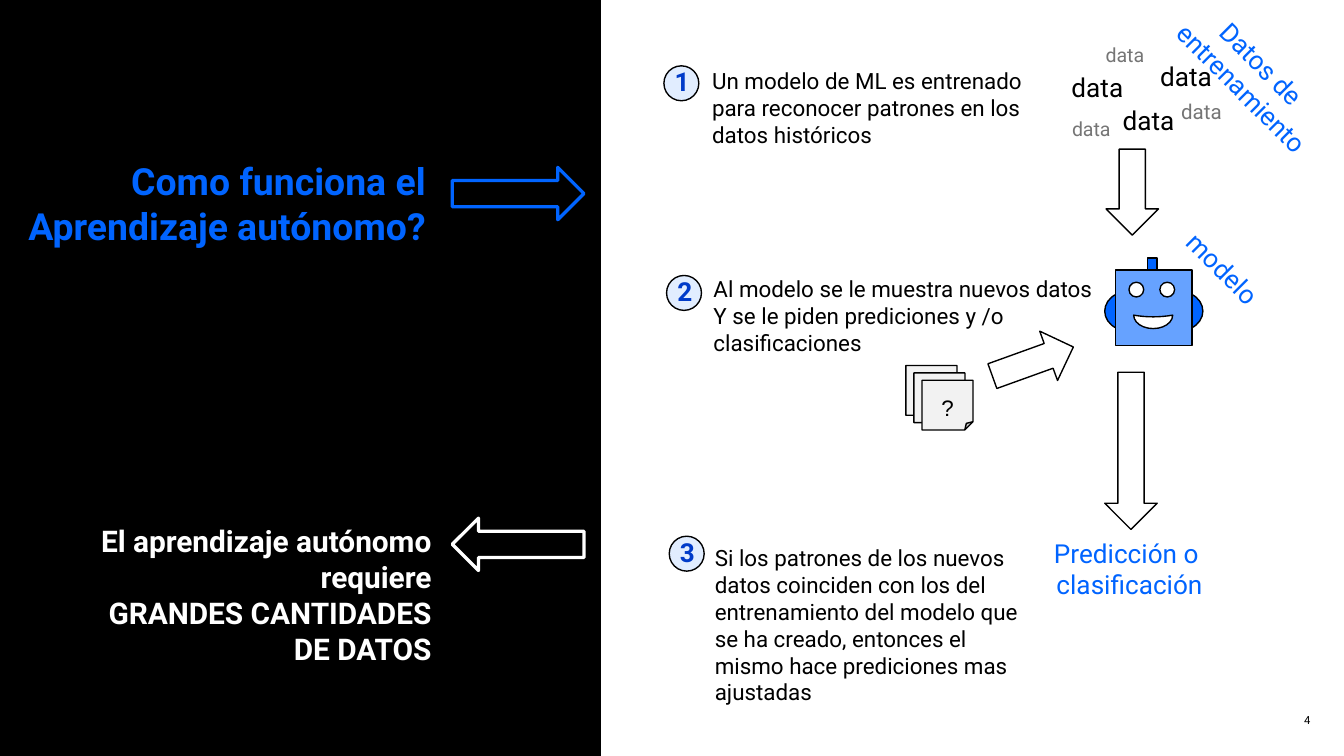
from dataclasses import dataclass
from pptx import Presentation as Deck
from pptx.dml.color import RGBColor as Rgb
from pptx.enum.shapes import MSO_SHAPE as Kind
from pptx.enum.text import MSO_ANCHOR as Anchor, MSO_AUTO_SIZE as Fit, PP_ALIGN as Align
from pptx.util import Inches, Pt

WIDE = 10
HIGH = WIDE * 9 / 16


@dataclass(frozen=True)
class Theme:
    black: str = "000000"
    white: str = "FFFFFF"
    blue: str = "0064FF"
    navy: str = "003BC9"
    sky: str = "66A2FF"
    pale: str = "E1EDFF"
    paper: str = "F2F2F2"
    gray: str = "757575"
    font: str = "Roboto"
    plain: str = "Arial"
    title: float = 20
    claim: float = 16
    label: float = 14
    body: float = 12
    faint: float = 11
    small: float = 10.5
    page: float = 6
    thin: float = 0.75
    thick: float = 1.75


def write(frame, text, size, color, font, bold=False, align=Align.LEFT,
          anchor=Anchor.TOP, inset=(0.1, 0.05, 0.1, 0.05), wrap=True, fit=Fit.NONE):
    frame.word_wrap = wrap
    frame.auto_size = fit
    frame.vertical_anchor = anchor
    (frame.margin_left, frame.margin_top,
     frame.margin_right, frame.margin_bottom) = map(Inches, inset)
    frame.text = text
    for para in frame.paragraphs:
        para.alignment = align
        for run in para.runs:
            run.font.size = Pt(size)
            run.font.name = font
            run.font.bold = bold
            run.font.color.rgb = Rgb.from_string(color)


class Page:
    def __init__(self, slide, style):
        self.slide = slide
        self.style = style

    def title(self, text, box, **look):
        panel = self.slide.shapes.title
        panel.left, panel.top, panel.width, panel.height = map(Inches, box)
        self.paint(panel, self.style.black, self.style.black, self.style.thin)
        write(panel.text_frame, text, font=self.style.font, **look)

    def paint(self, shape, fill, line, width):
        if fill:
            shape.fill.solid()
            shape.fill.fore_color.rgb = Rgb.from_string(fill)
        else:
            shape.fill.background()
        shape.line.color.rgb = Rgb.from_string(line)
        shape.line.width = Pt(width)

    def group(self):
        return self.slide.shapes.add_group_shape().shapes

    def shape(self, kind, box, fill, line=None, width=None, turn=0, adjust=None, home=None):
        home = home or self.slide.shapes
        item = home.add_shape(kind, *map(Inches, box))
        item.shadow.inherit = False
        item.rotation = turn
        if adjust is not None:
            item.adjustments[0] = adjust
        self.paint(item, fill, line or self.style.black, width or self.style.thin)
        return item

    def arrow(self, box, turn=0, fill=Theme.white, **look):
        self.shape(Kind.DOWN_ARROW, box, fill, turn=turn, **look)

    def text(self, text, box, size, color, turn=0, home=None, **look):
        item = (home or self.slide.shapes).add_textbox(*map(Inches, box))
        item.rotation = turn
        look = {"fit": Fit.SHAPE_TO_FIT_TEXT, "font": self.style.font} | look
        write(item.text_frame, text, size, color, **look)

    def label(self, text, box, size, color, **look):
        self.text(text, box, size, color, align=Align.CENTER, wrap=False, **look)

    def step(self, mark, spot, text, box, wrap=False):
        x, y = spot
        style = self.style
        self.text(text, box, style.body, style.black, wrap=wrap)
        badge = self.group()
        self.shape(Kind.OVAL, (x, y, 0.26, 0.26), style.pale, home=badge)
        self.label(mark, (x - 0.02, y - 0.05, 0.31, 0.34), style.label, style.navy,
                   bold=True, home=badge)

    def robot(self):
        style, home = self.style, self.group()
        self.shape(Kind.RECTANGLE, (8.54, 1.92, 0.07, 0.23), style.blue, home=home)
        for x, turn in ((8.22, 0), (8.78, 180)):
            self.shape(Kind.MOON, (x, 2.17, 0.17, 0.29), style.blue, turn=turn, home=home)
        self.shape(Kind.RECTANGLE, (8.3, 2.01, 0.57, 0.56), style.sky, home=home)
        for x in (8.4, 8.63):
            self.shape(Kind.OVAL, (x, 2.1, 0.11, 0.11), style.white, home=home)
        self.shape(Kind.MOON, (8.53, 2.25, 0.1, 0.29), style.white, turn=270,
                   adjust=0.875, home=home)

    def sheets(self):
        style = self.style
        for i in range(3):
            box = (6.74 + 0.06 * i, 2.72 + 0.055 * i, 0.38, 0.37)
            sheet = self.shape(Kind.FOLDED_CORNER, box, style.paper)
        write(sheet.text_frame, "?", style.body, style.black, style.plain,
              align=Align.CENTER, anchor=Anchor.MIDDLE, inset=(0, 0.1, 0, 0))


def main():
    deck = Deck()
    deck.slide_width, deck.slide_height = Inches(WIDE), Inches(HIGH)
    style = Theme()
    page = Page(deck.slides.add_slide(deck.slide_layouts[5]), style)

    page.title("Como funciona el\nAprendizaje autónomo?", (0, 0, 4.47, HIGH),
               size=style.title, color=style.blue, bold=True, align=Align.RIGHT,
               anchor=Anchor.MIDDLE, inset=(0, 0, 1.3, 2.6))
    page.robot()

    page.step("1", (4.94, 0.49),
              "Un modelo de ML es entrenado\npara reconocer patrones en los\ndatos históricos",
              (5.2, 0.45, 2.6, 0.71))
    page.step("2", (4.96, 2.05),
              "Al modelo se le muestra nuevos datos\n"
              "Y se le piden prediciones y /o\nclasificaciones",
              (5.21, 2, 3.08, 0.71))
    page.step("3", (4.98, 3.99),
              "Si los patrones de los nuevos datos coinciden con los del entrenamiento "
              "del modelo que se ha creado, entonces el mismo hace prediciones mas ajustadas",
              (5.22, 4, 2.57, 1.31), wrap=True)

    for x, y in ((7.87, 0.48), (8.53, 0.4), (8.25, 0.73)):
        page.label("data", (x, y, 0.59, 0.34), style.label, style.black)
    for x, y, size in ((8.69, 0.69, style.faint), (7.87, 0.82, style.small),
                       (8.12, 0.27, style.small)):
        page.label("data", (x, y, 0.5, 0.28), size, style.gray)

    for text, box, turn in (
        ("Datos de \nentrenamiento", (8.57, 0.29, 1.5, 0.57), 45),
        ("modelo", (8.66, 1.83, 0.87, 0.34), 45),
        ("Predicción o \nclasificación", (7.74, 3.95, 1.33, 0.57), 0),
    ):
        page.label(text, box, style.label, style.blue, turn=turn)

    page.arrow((8.23, 1.11, 0.39, 0.64))
    page.arrow((7.49, 2.37, 0.39, 0.64), turn=250.2)
    page.arrow((8.22, 2.77, 0.39, 1.17))
    for y, turn, line in ((0.95, 270, style.blue), (3.56, 90, style.white)):
        page.arrow((3.66, y, 0.39, 0.98), turn=turn, fill=None, line=line, width=style.thick)
    page.sheets()

    page.text("El aprendizaje autónomo requiere\nGRANDES CANTIDADES DE DATOS",
              (0.4, 3.84, 2.91, 1.18), style.claim, style.white, bold=True, align=Align.RIGHT)
    page.text("4", (7.5, 5.28, 2.25, 0.15), style.page, style.black, align=Align.RIGHT,
              anchor=Anchor.MIDDLE, inset=(0, 0, 0, 0), fit=Fit.NONE)
    deck.save("out.pptx")


if __name__ == "__main__":
    main()
